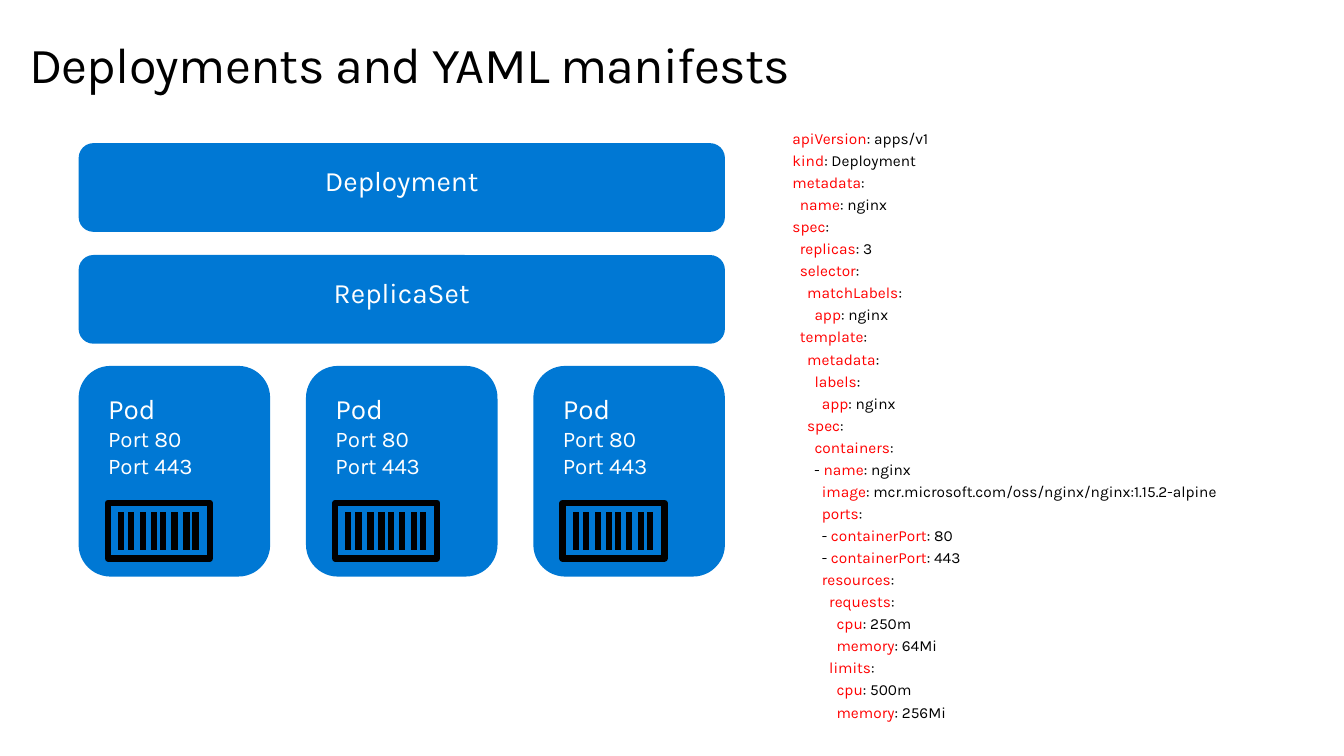
from dataclasses import dataclass

from lxml import etree
from pptx import Presentation
from pptx import util as u
from pptx.dml.color import RGBColor
from pptx.enum import shapes, text
from pptx.oxml import ns

BLACK = RGBColor(0x00, 0x00, 0x00)
WHITE = RGBColor(0xFF, 0xFF, 0xFF)
RED = RGBColor(0xFF, 0x00, 0x00)
BLUE = RGBColor(0x00, 0x78, 0xD4)
FONT = "Karla"

LEFT, WIDTH = 0.78, 6.41
POD_COUNT, POD_WIDTH, POD_TOP, POD_HEIGHT = 3, 1.9, 3.63, 2.09
POD_PITCH = (WIDTH - POD_WIDTH) / (POD_COUNT - 1)
BAR_OFFSETS = (0.13, 0.23, 0.35, 0.46, 0.55, 0.66, 0.78, 0.87)

MANIFEST = """\
apiVersion: apps/v1
kind: Deployment
metadata:
  name: nginx
spec:
  replicas: 3
  selector:
    matchLabels:
      app: nginx
  template:
    metadata:
      labels:
        app: nginx
    spec:
      containers:
      - name: nginx
        image: mcr.microsoft.com/oss/nginx/nginx:1.15.2-alpine
        ports:
        - containerPort: 80
        - containerPort: 443
        resources:
          requests:
            cpu: 250m
            memory: 64Mi
          limits:
            cpu: 500m
            memory: 256Mi"""


@dataclass(frozen=True)
class Line:
    text: str
    size: int


@dataclass(frozen=True)
class Block:
    left: float
    top: float
    width: float
    height: float
    lines: tuple[Line, ...]
    align: text.PP_ALIGN


POD_LINES = (Line("Pod", 20), Line("Port 80", 16), Line("Port 443", 16))
LAYERS = [
    Block(LEFT, top, WIDTH, 0.88, (Line(name, 20),), text.PP_ALIGN.CENTER)
    for name, top in (("Deployment", 1.42), ("ReplicaSet", 2.53))
]
PODS = [
    Block(LEFT + i * POD_PITCH, POD_TOP, POD_WIDTH, POD_HEIGHT, POD_LINES, text.PP_ALIGN.LEFT)
    for i in range(POD_COUNT)
]


def style_font(font, size: float, color: RGBColor) -> None:
    font.name = FONT
    font.size = u.Pt(size)
    font.color.rgb = color


def set_margins(tf, horizontal: float, vertical: float) -> None:
    tf.margin_left = tf.margin_right = u.Inches(horizontal)
    tf.margin_top = tf.margin_bottom = u.Inches(vertical)


def add_text_box(s, left: float, top: float, width: float, height: float):
    """Add a wrapping text box without margins and return its text frame."""
    box = s.shapes.add_textbox(*map(u.Inches, (left, top, width, height)))
    tf = box.text_frame
    tf.word_wrap = True
    set_margins(tf, 0, 0)
    return tf


def add_title(s) -> None:
    tf = add_text_box(s, 0.29, 0.32, 12.74, 0.61)
    tf.vertical_anchor = text.MSO_ANCHOR.MIDDLE
    tf.text = "Deployments and YAML manifests"
    r = tf.paragraphs[0].runs[0]
    style_font(r.font, 36, BLACK)
    r.font._element.set("spc", "-50")


def add_manifest(s) -> None:
    """Write the YAML with red keys and black values."""
    tf = add_text_box(s, 7.86, 1.28, 4.59, 5.96)
    for i, line in enumerate(MANIFEST.splitlines()):
        p = tf.add_paragraph() if i else tf.paragraphs[0]
        if i:
            p.space_before = u.Pt(2.57)
        head, colon, value = line.partition(":")
        key = head.lstrip(" -")
        indent = head.removesuffix(key)
        for part, color in ((indent, BLACK), (key, RED), (colon + value, BLACK)):
            if part:
                r = p.add_run()
                r.text = part
                style_font(r.font, 11, color)


def add_block(s, block: Block) -> None:
    sp = s.shapes.add_shape(
        shapes.MSO_SHAPE.ROUNDED_RECTANGLE,
        *map(u.Inches, (block.left, block.top, block.width, block.height)),
    )
    sp.shadow.inherit = False
    sp.fill.solid()
    sp.fill.fore_color.rgb = BLUE
    sp.line.fill.background()
    tf = sp.text_frame
    tf.word_wrap = True
    tf.vertical_anchor = text.MSO_ANCHOR.TOP
    set_margins(tf, 0.2, 0.16)
    tf.text = "\n".join(line.text for line in block.lines)
    for p, line in zip(tf.paragraphs, block.lines):
        p.alignment = block.align
        style_font(p.runs[0].font, line.size, WHITE)


def style_outline(line) -> None:
    line.color.rgb = BLACK
    line.width = u.Pt(4.5)


def add_container_icon(s, left: float) -> None:
    group = s.shapes.add_group_shape()
    frame = group.shapes.add_shape(
        shapes.MSO_SHAPE.RECTANGLE, *map(u.Inches, (left, 4.99, 1.01, 0.55))
    )
    frame.shadow.inherit = False
    frame.fill.solid()
    frame.fill.fore_color.rgb = BLUE
    style_outline(frame.line)
    for offset in BAR_OFFSETS:
        x = left + offset
        bar = group.shapes.add_connector(
            shapes.MSO_CONNECTOR.STRAIGHT, *map(u.Inches, (x, 5.08, x, 5.46))
        )
        style_outline(bar.line)
        etree.SubElement(bar._element.spPr, ns.qn("a:effectLst"))


def main() -> None:
    prs = Presentation()
    prs.slide_width, prs.slide_height = u.Inches(13.33), u.Inches(7.5)
    s = prs.slides.add_slide(prs.slide_layouts[6])
    add_title(s)
    add_manifest(s)
    for layer in LAYERS:
        add_block(s, layer)
    for pod in PODS:
        add_block(s, pod)
        add_container_icon(s, pod.left + 0.29)
    prs.save("out.pptx")


if __name__ == "__main__":
    main()
